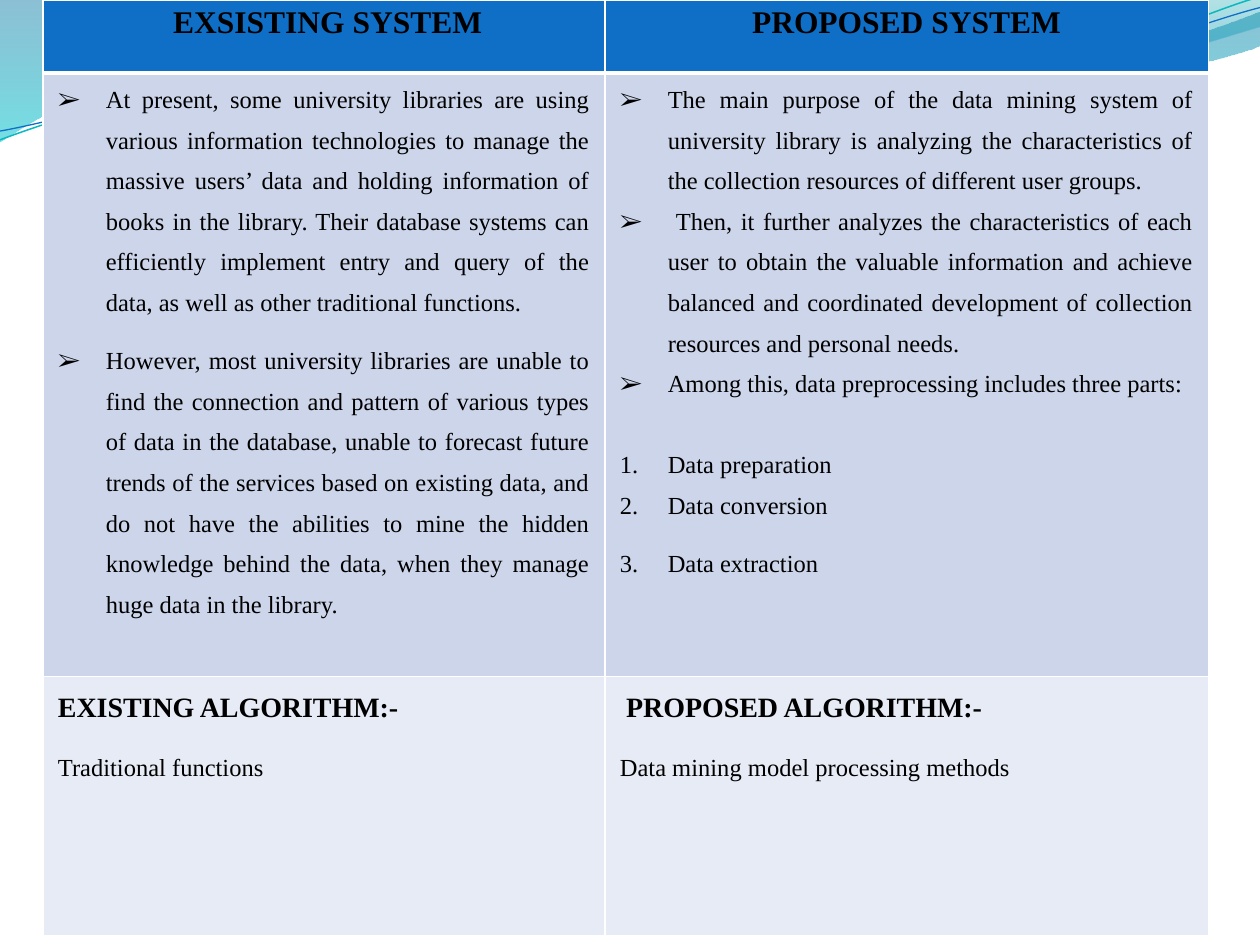
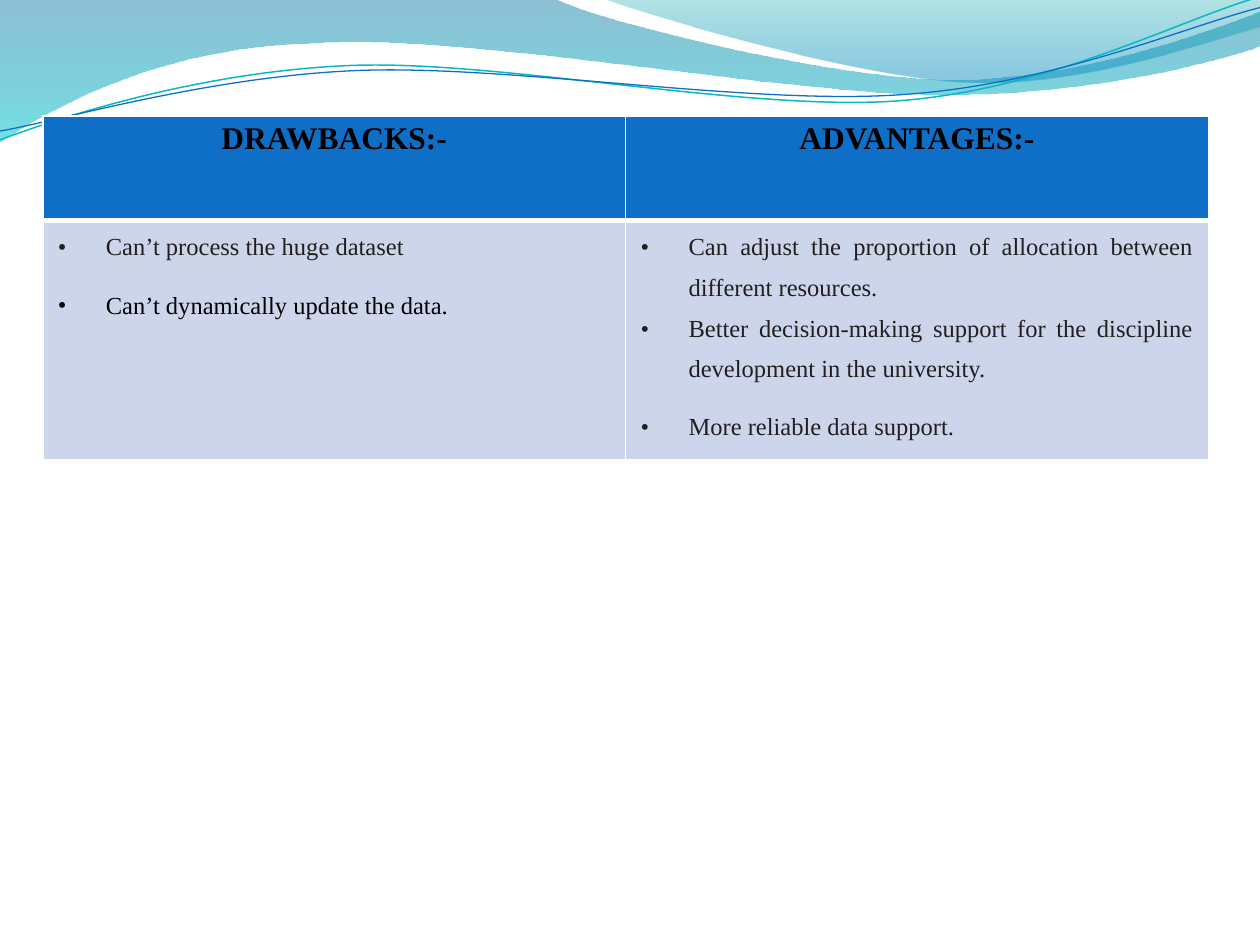
"""Builds two slides that compare an existing library system with a proposed one."""
import math

from lxml import etree
from pptx import Presentation
from pptx import util as u
from pptx.dml.color import RGBColor
from pptx.enum import text
from pptx.oxml.ns import qn

BLUE = RGBColor(0x0F, 0x6F, 0xC6)
TEAL = RGBColor(0x0A, 0xB8, 0xBF)
BODY = RGBColor(0xCC, 0xD5, 0xEA)
PALE = RGBColor(0xE7, 0xEB, 0xF5)
WHITE = RGBColor(0xFF, 0xFF, 0xFF)
BLACK = RGBColor(0, 0, 0)
INK = RGBColor(0x23, 0x1F, 0x20)
DEEP_BLUE = RGBColor(0, 0x74, 0xA1)
CYAN = RGBColor(0, 0xC6, 0xCF)
SEA_GREEN = RGBColor(0, 0xA1, 0xA9)
SKY = RGBColor(0, 0x8B, 0xBF)
FONT = "Times New Roman"
CENTER, JUSTIFY = text.PP_ALIGN.CENTER, text.PP_ALIGN.JUSTIFY
TABLE_LEFT, TABLE_WIDTH, INDENT = 0.34, 9.25, 0.38
RIPPLE_TILT, RIPPLE_CENTER = -2.7, (4.99, 0.58)


def write(frame, words, size=14, bold=False, color=BLACK, align=JUSTIFY,
          spacing=1.5, before=0, after=10, bullet=None, indent=0):
    para = frame.paragraphs[0]
    if para.runs:
        para = frame.add_paragraph()
    para.alignment, para.line_spacing = align, spacing
    para.space_before, para.space_after = u.Pt(before), u.Pt(after)
    properties = para._p.get_or_add_pPr()
    hanging = INDENT if bullet else 0
    properties.set("marL", str(u.Inches(indent + hanging)))
    properties.set("indent", str(u.Inches(-hanging)))
    if bullet:
        etree.SubElement(properties, qn("a:buFont"), typeface=FONT)
    if bullet == "1.":
        etree.SubElement(properties, qn("a:buAutoNum"), type="arabicPeriod")
    elif bullet:
        etree.SubElement(properties, qn("a:buChar"), char=bullet)
    else:
        etree.SubElement(properties, qn("a:buNone"))
    span = para.add_run()
    span.text = words
    span.font.name, span.font.size, span.font.bold = FONT, u.Pt(size), bold
    span.font.color.rgb = color


def draw(page, segments, closed, tilt=0):
    angle, (center_x, center_y) = math.radians(-tilt), RIPPLE_CENTER
    corners = []
    for segment in segments:
        for x, y in zip(segment[::2], segment[1::2]):
            if tilt:
                x, y = x - center_x, y - center_y
                x, y = (center_x + x * math.cos(angle) - y * math.sin(angle),
                        center_y + x * math.sin(angle) + y * math.cos(angle))
            corners.append((u.Inches(x), u.Inches(y)))
    builder = page.shapes.build_freeform(*corners[0])
    builder.add_line_segments(corners[1:], close=closed)
    shape = builder.convert_to_shape()
    shape.shadow.inherit = False
    shape.rotation = tilt
    steps = iter(list(shape.element.iter(qn("a:lnTo"))))
    for segment in segments[1:]:
        step = next(steps)
        if len(segment) == 6:
            step.tag = qn("a:cubicBezTo")
            for extra in (next(steps), next(steps)):
                step.append(extra[0])
                extra.getparent().remove(extra)
    return shape


WAVES = [
    ([(0, 0), (4.4, -0.01), (4.76, 0.17, 6.64, 0.63, 7.58, 0.63),
      (8.53, 0.63, 9.58, 0.26, 10, 0.09), (10.01, 0.36),
      (9.83, 0.44, 8.7, 0.76, 7.46, 0.75), (6.22, 0.75, 3.82, 0.28, 2.57, 0.34),
      (1.29, 0.36, 0.46, 0.83, -0.01, 1.13), (0, 0)],
     [(0, DEEP_BLUE, 45), (1, CYAN, 55)]),
    ([(4.79, -0.01), (5.09, 0.11, 6.82, 0.62, 7.69, 0.65),
      (8.56, 0.69, 9.61, 0.32, 10, 0.21), (10, 0), (4.79, -0.01)],
     [(0, SEA_GREEN, 30), (0.8, SKY, 45)]),
]
RIPPLES = [
    ([(0, 1.11), (0.48, 0.93, 1.58, 0.57, 2.77, 0.52),
      (3.95, 0.47, 5.93, 0.89, 7.13, 0.8), (8.33, 0.71, 9.38, 0.15, 9.98, -0.02)],
     TEAL, 0.85),
    ([(0, 1.04), (0.47, 0.96, 1.64, 0.61, 2.83, 0.56),
      (4.03, 0.51, 5.97, 0.84, 7.17, 0.75), (8.36, 0.67, 9.41, 0.21, 10, 0.06)],
     BLUE, 0.75),
]

HEADER = dict(size=18, bold=True, align=CENTER, spacing=1.15)
SUBHEAD = dict(size=16, bold=True)
ARROW = dict(bullet="➢")
TIGHT_ARROW = dict(bullet="➢", after=0)
NUMBER = dict(bullet="1.")
DOT = dict(bullet="•", color=INK)

SYSTEMS = [
    [[(" EXSISTING SYSTEM", HEADER)], [("PROPOSED SYSTEM", HEADER)]],
    [[("At present, some university libraries are using various information technologies "
       "to manage the massive users’ data and holding information of books in the library. "
       "Their database systems can efficiently implement entry and query of the data, as "
       "well as other traditional functions. ", ARROW),
      ("However, most university libraries are unable to find the connection and pattern of "
       "various types of data in the database, unable to forecast future trends of the "
       "services based on existing data, and do not have the abilities to mine the hidden "
       "knowledge behind the data, when they manage huge data in the library.", ARROW)],
     [("The main purpose of the data mining system of university library is analyzing the "
       "characteristics of the collection resources of different user groups.", TIGHT_ARROW),
      (" Then, it further analyzes the characteristics of each user to obtain the valuable "
       "information and achieve balanced and coordinated development of collection "
       "resources and personal needs.", TIGHT_ARROW),
      ("Among this, data preprocessing includes three parts: ", TIGHT_ARROW),
      ("Data preparation", dict(NUMBER, before=23, after=0)),
      ("Data conversion ", NUMBER),
      ("Data extraction", NUMBER)]],
    [[("EXISTING ALGORITHM:-", SUBHEAD), ("Traditional functions", {})],
     [("PROPOSED ALGORITHM:-", dict(SUBHEAD, indent=0.05)),
      ("Data mining model processing methods", dict(align=text.PP_ALIGN.LEFT))]],
]
OUTCOMES = [
    [[("DRAWBACKS:-", HEADER)], [("ADVANTAGES:-", HEADER)]],
    [[("Can’t process the huge dataset", DOT),
      ("Can’t dynamically update the data. ", dict(DOT, color=BLACK))],
     [("Can adjust the proportion of allocation between different resources.",
       dict(DOT, after=0)),
      ("Better decision-making support for the discipline development in the university. ",
       DOT),
      ("More reliable data support.", DOT)]],
]
TABLES = [
    (SYSTEMS, 0, 4.46, [0.58, 4.79, 2.06]),
    (OUTCOMES, 0.92, TABLE_WIDTH / 2, [0.83, 1.9]),
]

deck = Presentation()
deck.slide_width, deck.slide_height = u.Inches(10), u.Inches(7.5)

for content, top, first_width, heights in TABLES:
    page = deck.slides.add_slide(deck.slide_layouts[6])

    for segments, stops in WAVES:
        wave = draw(page, segments, True)
        wave.line.fill.background()
        wave.fill.gradient()
        wave.fill.gradient_angle = 270
        for stop, (position, color, opacity) in zip(wave.fill.gradient_stops, stops):
            stop.position, stop.color.rgb = position, color
        for tint, (position, color, opacity) in zip(
                wave.element.spPr.iter(qn("a:srgbClr")), stops):
            etree.SubElement(tint, qn("a:alpha"), val=str(opacity * 1000))

    for segments, color, width in RIPPLES:
        ripple = draw(page, segments, False, RIPPLE_TILT)
        ripple.fill.background()
        ripple.line.color.rgb, ripple.line.width = color, u.Pt(width)

    table = page.shapes.add_table(
        len(heights), 2, u.Inches(TABLE_LEFT), u.Inches(top),
        u.Inches(TABLE_WIDTH), u.Inches(sum(heights))).table
    for column, width in zip(table.columns, (first_width, TABLE_WIDTH - first_width)):
        column.width = u.Inches(width)
    for row, height in zip(table.rows, heights):
        row.height = u.Inches(height)

    for row_index, row_content in enumerate(content):
        for column_index, paragraphs in enumerate(row_content):
            cell = table.cell(row_index, column_index)
            cell.margin_left = cell.margin_right = u.Inches(0.12)
            cell.margin_top = cell.margin_bottom = 0
            for side in "LRTB":
                thick = (row_index, side) in ((0, "B"), (1, "T"))
                border = etree.SubElement(cell._tc.get_or_add_tcPr(), qn(f"a:ln{side}"),
                                          w=str(u.Pt(3 if thick else 1)))
                paint = etree.SubElement(border, qn("a:solidFill"))
                etree.SubElement(paint, qn("a:srgbClr"), val=str(WHITE))
            cell.fill.solid()
            cell.fill.fore_color.rgb = (BLUE, BODY, PALE)[row_index]
            for words, style in paragraphs:
                write(cell.text_frame, words, **style)

deck.save("out.pptx")
